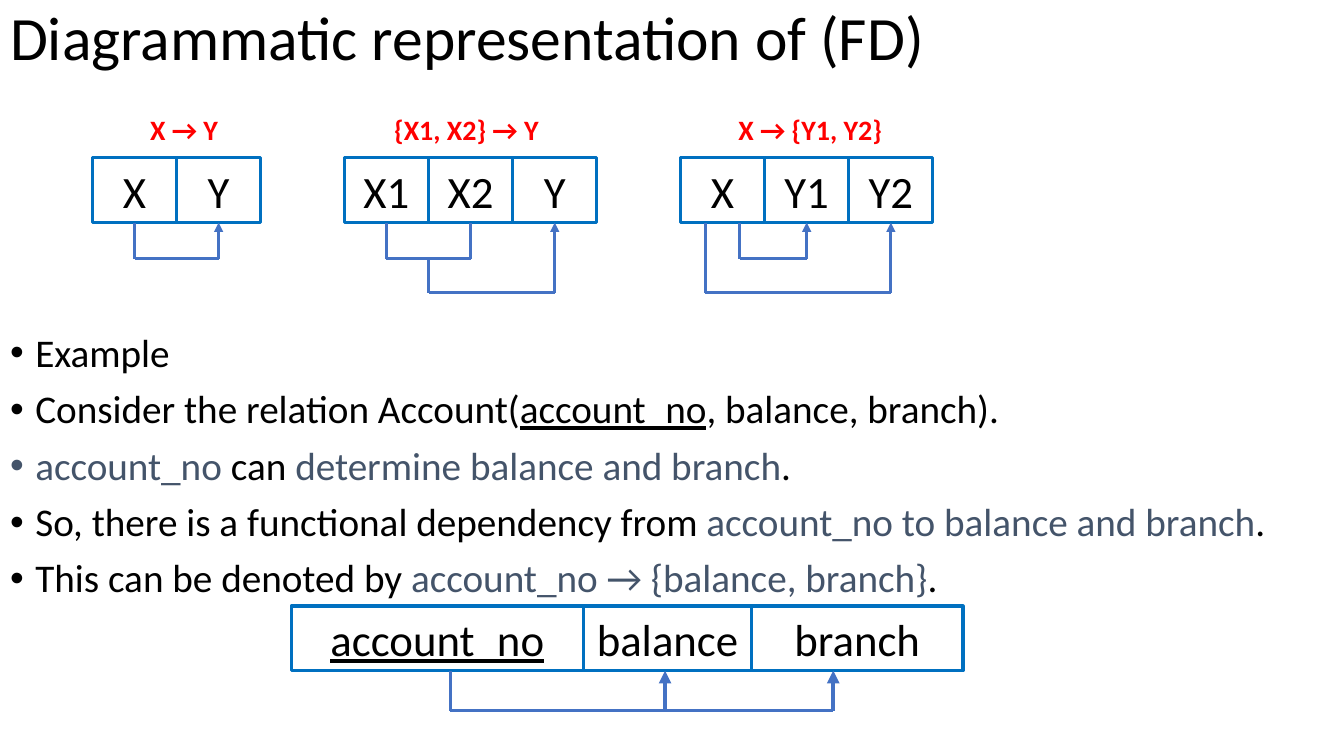
from itertools import pairwise

from lxml import etree
from pptx import Presentation
from pptx import util as u
from pptx.dml.color import RGBColor
from pptx.enum import shapes, text
from pptx.oxml.ns import qn

BLACK, SLATE, RED = "000000", "44546A", "FF0000"
BORDER, ARROW = "0070C0", "4472C4"


def rgb(value):
    return RGBColor.from_string(value)


class Deck:
    """Holds the style and the current slide, and draws each kind of element."""

    font = "Calibri"
    line_width = 2.25
    cell_height = 1.63

    def __init__(self, width, height):
        self.prs = Presentation()
        self.prs.slide_width, self.prs.slide_height = u.Cm(width), u.Cm(height)
        self.s = self.prs.slides.add_slide(self.prs.slide_layouts[1])

    def run(self, p, content, size, color=BLACK, **extra):
        r = p.add_run()
        r.text = content
        r.font.color.rgb = rgb(color)
        for key, value in {"name": self.font, "size": u.Pt(size), **extra}.items():
            setattr(r.font, key, value)

    def move(self, sp, *box):
        for key, value in zip(("left", "top", "width", "height"), box):
            setattr(sp, key, u.Cm(value))

    def title(self, content, *box):
        sp = self.s.shapes.title
        self.move(sp, *box)
        sp.text_frame.vertical_anchor = text.MSO_ANCHOR.MIDDLE
        p = sp.text_frame.paragraphs[0]
        p.alignment, p.line_spacing = text.PP_ALIGN.LEFT, 0.9
        self.run(p, content, 44)

    def bullets(self, items, *box):
        sp = self.s.placeholders[1]
        self.move(sp, *box)
        tf = sp.text_frame
        for i, runs in enumerate(items):
            p = tf.add_paragraph() if i else tf.paragraphs[0]
            p.line_spacing, p.space_before = 0.9, u.Pt(10 if i else 0)
            pPr = p._p.get_or_add_pPr()
            pPr.set("marL", str(u.Cm(0.635)))
            pPr.set("indent", str(u.Cm(-0.635)))
            for content, style in runs:
                self.run(p, content, 28, **style)

    def caption(self, content, center, top, width):
        box = [u.Cm(v) for v in (center - width / 2, top, width, 1.11)]
        tf = self.s.shapes.add_textbox(*box).text_frame
        tf.word_wrap = True
        p = tf.paragraphs[0]
        p.alignment = text.PP_ALIGN.CENTER
        self.run(p, content, 20, RED, bold=True)

    def row(self, names, left, top, widths, key=None):
        centers = []
        for name, width in zip(names, widths):
            box = [u.Cm(v) for v in (left, top, width, self.cell_height)]
            sp = self.s.shapes.add_shape(shapes.MSO_SHAPE.RECTANGLE, *box)
            sp.shadow.inherit = False
            sp.fill.background()
            sp.line.color.rgb, sp.line.width = rgb(BORDER), u.Pt(self.line_width)
            p = sp.text_frame.paragraphs[0]
            p.alignment = text.PP_ALIGN.CENTER
            self.run(p, name, 32, underline=name == key)
            centers.append(left + width / 2)
            left += width
        return centers

    def route(self, points, arrow=True, width=line_width):
        for start, end in pairwise(points):
            ends = [u.Cm(v) for v in (*start, *end)]
            cn = self.s.shapes.add_connector(shapes.MSO_CONNECTOR.STRAIGHT, *ends)
            cn.line.color.rgb, cn.line.width = rgb(ARROW), u.Pt(width)
            etree.SubElement(cn._element.spPr, qn("a:effectLst"))
            if arrow and end == points[-1]:
                etree.SubElement(cn.line._get_or_add_ln(), qn("a:tailEnd"), type="triangle")

    def bracket(self, start, end, top, level, arrow=True):
        self.route([(start, top), (start, level), (end, level), (end, top)], arrow)


def main():
    deck = Deck(33.87, 19.05)
    deck.title("Diagrammatic representation of (FD)", 0, 0.03, 33.87, 1.98)
    plain, slate = {}, {"color": SLATE}
    deck.bullets([
        [("Example", plain)],
        [("Consider the relation Account(", plain), ("account_no", {"underline": True}),
         (", balance, branch).", plain)],
        [("account_no", slate), (" can ", plain),
         ("determine balance and branch", slate), (".", plain)],
        [("So, there is a functional dependency from ", plain),
         ("account_no to balance and branch", slate), (".", plain)],
        [("This can be denoted by ", plain),
         ("account_no → {balance, branch}", slate), (".", plain)],
    ], 0, 8.28, 33.15, 9.78)

    top, cell = 3.98, 2.12
    bottom = top + deck.cell_height
    upper, lower = 6.52, 7.38
    for content, center, width in (("X → Y", 4.64, 2.62), ("{X1, X2} → Y", 11.76, 4.32),
                                   ("X → {Y1, Y2}", 20.42, 4.32)):
        deck.caption(content, center, 2.72, width)

    x, y = deck.row(["X", "Y"], 2.33, top, [cell] * 2)
    deck.bracket(x, y, bottom, upper)

    x1, x2, y = deck.row(["X1", "X2", "Y"], 8.68, top, [cell] * 3)
    deck.bracket(x1, x2, bottom, upper, arrow=False)
    middle = (x1 + x2) / 2
    deck.route([(middle, upper), (middle, lower), (y, lower), (y, bottom)])

    x, y1, y2 = deck.row(["X", "Y1", "Y2"], 17.15, top, [cell] * 3)
    deck.bracket(x + 0.43, y1, bottom, upper)
    deck.bracket(x - 0.43, y2, bottom, lower)

    top, level = 15.27, 17.91
    bottom = top + deck.cell_height
    deck.row(["account_no", "balance", "branch"], 7.34, top, [7.37, 4.23, 5.33], "account_no")
    account, balance, branch = 11.35, 16.76, 21.0
    deck.route([(account, bottom), (account, level), (branch, level)], arrow=False)
    for target in (balance, branch):
        deck.route([(target, level), (target, bottom)], width=3)

    deck.prs.save("out.pptx")


if __name__ == "__main__":
    main()
